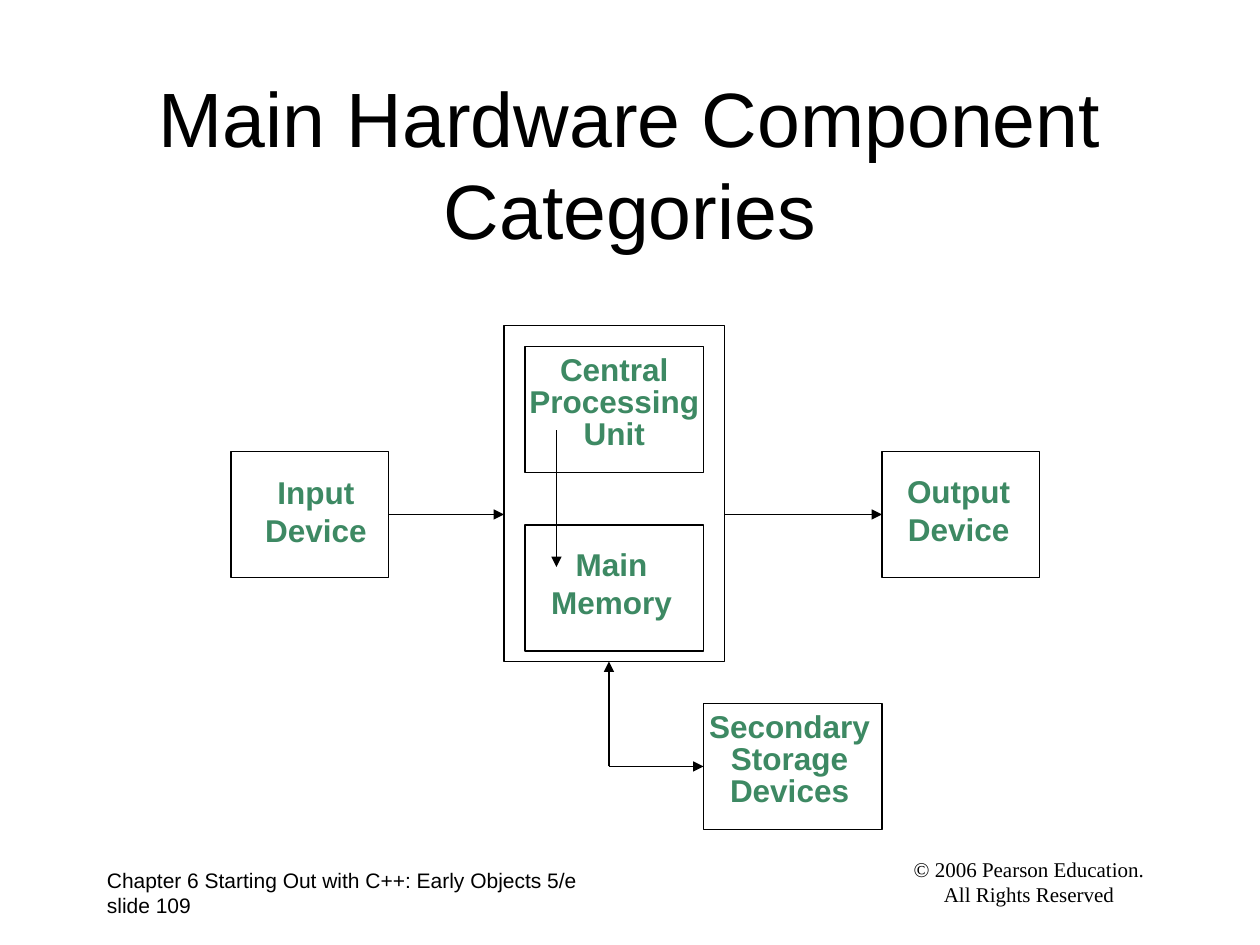
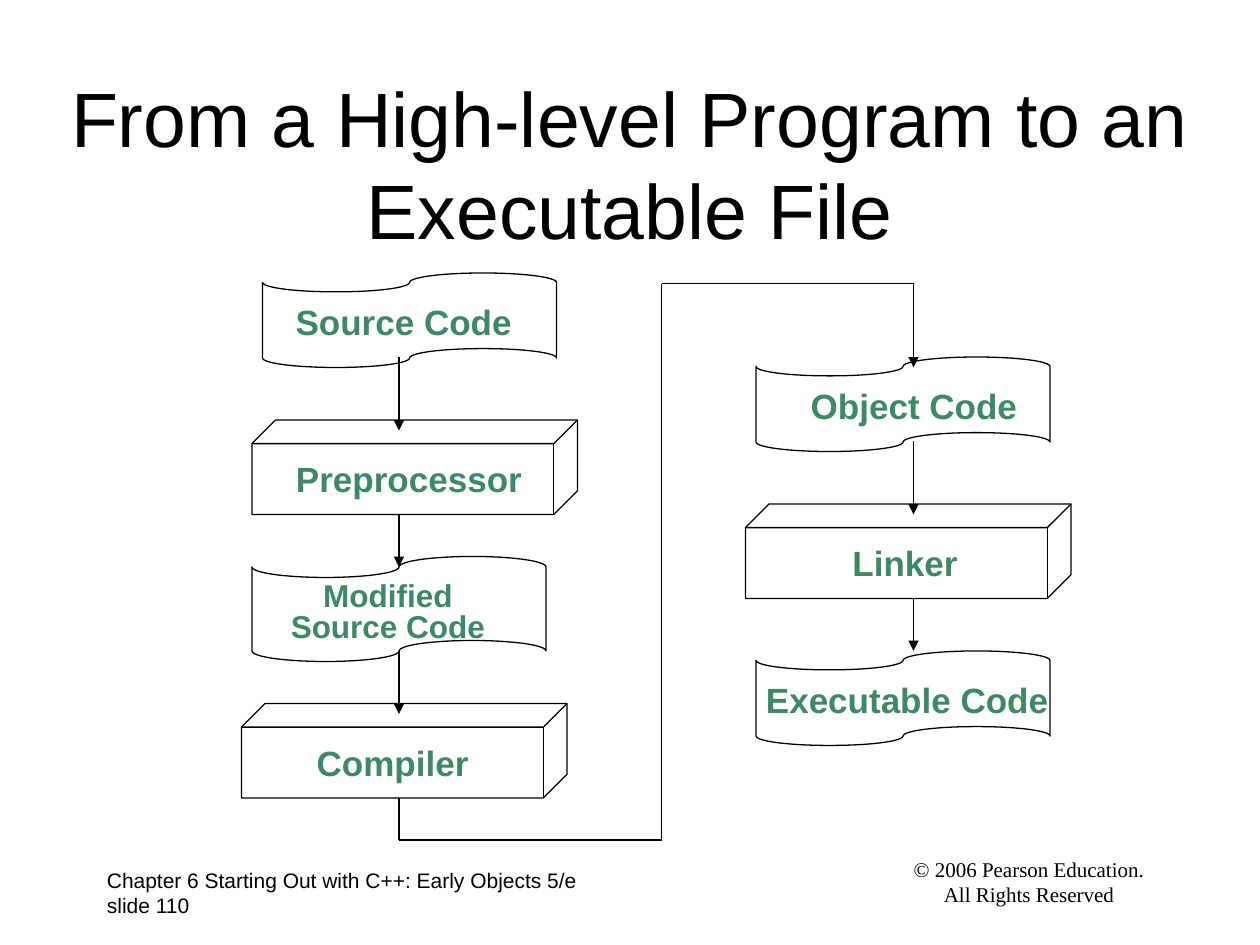
from itertools import pairwise

from lxml.etree import SubElement
from pptx import Presentation
from pptx.dml.color import RGBColor
from pptx.enum.shapes import MSO_CONNECTOR as CONN, MSO_SHAPE as SHAPE
from pptx.enum.text import MSO_ANCHOR as ANCHOR, PP_ALIGN as ALIGN
from pptx.oxml.ns import qn
from pptx.util import Cm, Pt

TOP, LEFT, BOTTOM, RIGHT = range(4)


def grid(*units):
    """Turn twelfths of an inch into lengths."""
    return [Cm(2.54 * n / 12) for n in units]


def color(hex_value):
    """Turn a hex string into a colour."""
    return RGBColor.from_string(hex_value)


def write(sp, text, *, size, ink, font="Arial", bold=False, align=ALIGN.LEFT,
          anchor=ANCHOR.TOP, spacing=None, side=0.25):
    """Write text into a shape, one paragraph per line."""
    tf = sp.text_frame
    tf.word_wrap = True
    tf.vertical_anchor = anchor
    tf.margin_left = tf.margin_right = Cm(side)
    tf.text = text
    for p in tf.paragraphs:
        p.alignment = align
        p.line_spacing = spacing
        for r in p.runs:
            r.font.name = font
            r.font.size = Pt(size)
            r.font.bold = bold
            r.font.color.rgb = color(ink)


class Deck:
    """Hold the shared style and the current slide."""

    INK = "000000"
    GREEN = "3D8963"
    LINE = Pt(0.75)

    def __init__(self):
        """Start an empty 4:3 presentation."""
        self.prs = Presentation()
        self.prs.slide_width, self.prs.slide_height = Cm(25.4), Cm(19.05)
        self.s = None

    def slide(self, title, title_box, number):
        """Add a slide with its title and footers."""
        self.s = self.prs.slides.add_slide(self.prs.slide_layouts[6])
        self.text(f"Chapter 6 Starting Out with C++: Early Objects 5/e\nslide {number}",
                  (9, 82, 56, 6), size=12)
        self.text("© 2006 Pearson Education.\nAll Rights Reserved", (79, 81, 38, 6),
                  size=12, font="Times New Roman", align=ALIGN.CENTER)
        self.text(title, title_box, size=44, align=ALIGN.CENTER, anchor=ANCHOR.MIDDLE)

    def text(self, text, box, ink=INK, **fmt):
        """Add a text box."""
        write(self.s.shapes.add_textbox(*grid(*box)), text, ink=ink, **fmt)

    def label(self, text, box, size=18, spacing=None):
        """Add a bold green caption that uses the full width of its box."""
        self.text(text, box, self.GREEN, size=size, bold=True, align=ALIGN.CENTER,
                  spacing=spacing, side=0)

    def outline(self, box, kind=SHAPE.RECTANGLE):
        """Add an unfilled preset shape."""
        sp = self.s.shapes.add_shape(kind, *grid(*box))
        sp.shadow.inherit = False
        sp.fill.background()
        sp.line.color.rgb = color(self.INK)
        sp.line.width = self.LINE
        return sp

    def line(self, start, end, arrow=True):
        """Add a straight line, with an arrowhead at its end if wanted."""
        c = self.s.shapes.add_connector(CONN.STRAIGHT, *grid(*start, *end))
        c.line.color.rgb = color(self.INK)
        c.line.width = self.LINE
        if arrow:
            SubElement(c.line._get_or_add_ln(), qn("a:tailEnd"), type="triangle")
        SubElement(c._element.spPr, qn("a:effectLst"))
        return c

    def route(self, *points):
        """Chain lines through points and end in an arrowhead."""
        for start, end in pairwise(points):
            self.line(start, end, arrow=end == points[-1])


def hardware(deck):
    """Build the hardware component slide."""
    deck.slide("Main Hardware Component Categories", (9, 8, 102, 15), 109)
    input_device = deck.outline((22, 43, 15, 12))
    output_device = deck.outline((84, 43, 15, 12))
    storage = deck.outline((67, 67, 17, 12))
    for box in ((48, 31, 21, 32), (50, 33, 17, 12), (50, 50, 17, 12)):
        deck.outline(box)

    deck.label("Input\nDevice", (24.1, 44.5, 12, 8.4))
    deck.label("Output\nDevice", (85.2, 44.4, 12.2, 8.4))
    deck.label("Secondary\nStorage\nDevices", (66.3, 67.3, 17.8, 10.4), spacing=0.85)
    deck.label("Central\nProcessing\vUnit", (49.2, 33.3, 18.6, 10.4), spacing=0.85)
    deck.label("Main\nMemory", (51.3, 51.3, 13.9, 8.4))

    deck.line((37, 49), (48, 49)).begin_connect(input_device, RIGHT)
    deck.line((69, 49), (84, 49)).end_connect(output_device, LEFT)
    deck.line((53, 41), (53, 54))
    deck.line((58, 73), (58, 63))
    deck.line((58, 73), (67, 73)).end_connect(storage, LEFT)


def compilation(deck):
    """Build the slide on the way from source to executable."""
    deck.slide("From a High-level Program to an Executable File", (5, 8, 110, 15), 110)
    for left, top, height in ((25, 26, 9), (24, 53, 10), (72, 34, 9), (72, 62, 9)):
        deck.outline((left, top, 28, height), SHAPE.FLOWCHART_PUNCHED_TAPE)
    for left, top in ((24, 40), (23, 67), (71, 48)):
        deck.outline((left, top, 31, 9), SHAPE.CUBE)

    for text, left, top, width in (
        ("Source Code", 27, 28, 22.9),
        ("Preprocessor", 27, 43, 23.9),
        ("Compiler", 29, 70, 16.8),
        ("Object Code", 76, 36, 22.1),
        ("Linker", 80, 51, 12.4),
        ("Executable Code", 72.4, 64, 28),
    ):
        deck.label(text, (left, top, width, 5.3), size=20)
    deck.label("Modified\nSource Code", (27, 55, 19.9, 7), spacing=0.8)

    for x, top, bottom in ((38, 34, 41), (38, 49, 54), (38, 62, 68),
                           (87, 42, 49), (87, 57, 62)):
        deck.line((x, top), (x, bottom))
    deck.route((38, 76), (38, 80), (63, 80), (63, 27), (87, 27), (87, 35))


def main():
    """Build and save the presentation."""
    deck = Deck()
    hardware(deck)
    compilation(deck)
    deck.prs.save("out.pptx")


if __name__ == "__main__":
    main()
